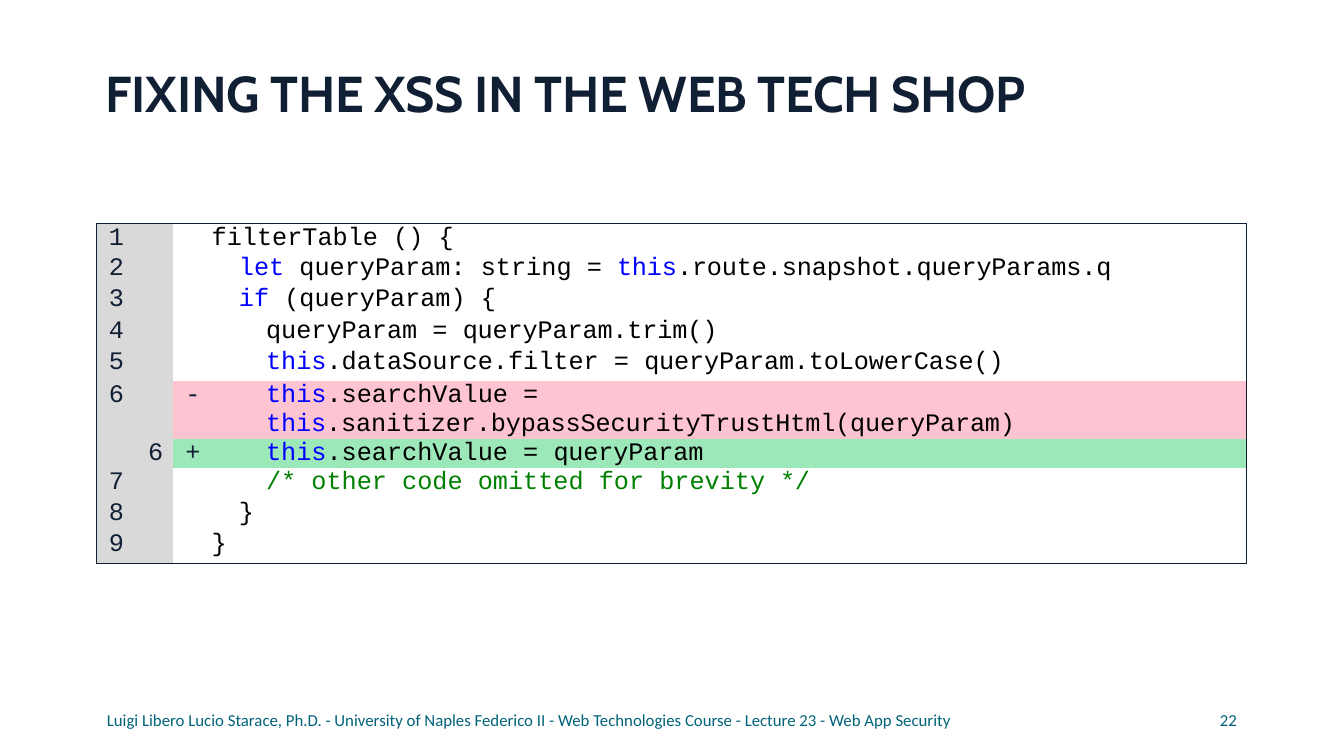
import dataclasses

import lxml.etree
import pptx
import pptx.dml.color
import pptx.enum.text
import pptx.oxml.ns
import pptx.util

Inches = pptx.util.Inches
Points = pptx.util.Pt


@dataclasses.dataclass(frozen=True)
class Theme:
    ink: str = "111F35"
    teal: str = "006379"
    black: str = "000000"
    keyword: str = "0000FF"
    comment: str = "008000"
    gutter: str = "D9D9D9"
    removed: str = "FFC4D2"
    added: str = "9CE8B8"
    title_font: str = "Cabin"
    footer_font: str = "Calibri"
    code_font: str = "Courier New"
    title_size: int = 36
    footer_size: int = 12
    code_size: int = 18


THEME = Theme()


@dataclasses.dataclass(frozen=True)
class CodeLine:
    height: float
    pitch: float
    number: str
    depth: int
    spans: tuple
    mark: str = ""


def plain(text, spacing=0):
    return text, THEME.black, spacing


def keyword(text, spacing=0):
    return text, THEME.keyword, spacing


def comment(text, spacing=0):
    return text, THEME.comment, spacing


CODE = (
    CodeLine(0.33, 20.6, "1", 0, (plain("filterTable () "), plain("{", -0.5))),
    CodeLine(0.3, 18.8, "2", 1, (
        keyword("let "), plain("queryParam: string = "),
        keyword("this", -0.1), plain(".route.snapshot.queryParams.q", -0.1))),
    CodeLine(0.31, 19, "3", 1, (
        keyword("if "), plain("(queryParam) "), plain("{", -0.5))),
    CodeLine(0.31, 19, "4", 2, (
        plain("queryParam = "), plain("queryParam.trim()", -0.1))),
    CodeLine(0.28, 19, "5", 2, (
        keyword("this"), plain(".dataSource.filter = "),
        plain("queryParam.toLowerCase()", -0.1))),
    CodeLine(0.57, 20.6, "6", 2, (
        keyword("this"), plain(".searchValue = "), keyword("this", -0.1),
        plain(".sanitizer.bypassSecurityTrustHtml(queryParam)", -0.1)), "-"),
    CodeLine(0.29, 20.6, "6", 2, (
        keyword("this"), plain(".searchValue = "),
        plain("queryParam", -0.1)), "+"),
    CodeLine(0.33, 20.6, "7", 2, (
        comment("/* other code omitted for brevity"), comment(" */", -0.2))),
    CodeLine(0.31, 19, "8", 1, (plain("}", -0.5),)),
    CodeLine(0.28, 19, "9", 0, (plain("}", -0.5),)),
)
COLUMNS = (0.76, 0.59, 10.05)
MARK_FILLS = {"-": THEME.removed, "+": THEME.added}
NUMBER_INDENT = 0.12
NEW_NUMBER_INDENT = 0.51
CODE_INDENT = 0.38
DEPTH_STEP = 0.27


def rgb(colour):
    return pptx.dml.color.RGBColor.from_string(colour)


def write_text(para, text, font, size, colour, bold=False, spacing=0):
    """Append a formatted span; spacing is the letter spacing in points."""
    span = para.add_run()
    span.text = text
    span.font.name = font
    span.font.size = Points(size)
    span.font.bold = bold
    span.font.color.rgb = rgb(colour)
    if spacing:
        span._r.get_or_add_rPr().set("spc", str(round(spacing * 100)))


def indent(para, left):
    properties = para._p.get_or_add_pPr()
    properties.set("marL", str(Inches(left)))
    properties.set("indent", "0")


def clear_margins(frame):
    frame.margin_left = frame.margin_right = 0
    frame.margin_top = frame.margin_bottom = 0
    frame.word_wrap = True
    frame.auto_size = pptx.enum.text.MSO_AUTO_SIZE.NONE
    frame.vertical_anchor = pptx.enum.text.MSO_ANCHOR.TOP


def set_title(page, text):
    title = page.shapes.title
    title.left, title.top = Inches(1.05), Inches(0.61)
    title.width, title.height = Inches(11.26), Inches(0.63)
    clear_margins(title.text_frame)
    title.text_frame.margin_top = Inches(0.01)
    para = title.text_frame.paragraphs[0]
    para.alignment = pptx.enum.text.PP_ALIGN.LEFT
    para.space_before = Points(1)
    para.line_spacing = 1.0
    write_text(para, text, THEME.title_font, THEME.title_size, THEME.ink,
               bold=True, spacing=-0.24)


def add_footer(page, text, left, width, text_indent):
    box = page.shapes.add_textbox(
        Inches(left), Inches(7.07), Inches(width), Inches(0.19))
    clear_margins(box.text_frame)
    para = box.text_frame.paragraphs[0]
    para.line_spacing = Points(12.4)
    indent(para, text_indent)
    write_text(para, text, THEME.footer_font, THEME.footer_size, THEME.teal)


def set_borders(cell, visible):
    """Draw the sides named in visible (L, R, T, B) and blank the others."""
    properties = cell._tc.get_or_add_tcPr()
    qualify = pptx.oxml.ns.qn
    for position, side in enumerate("LRTB"):
        line = lxml.etree.Element(qualify(f"a:ln{side}"), w=str(Points(1)))
        if side in visible:
            fill = lxml.etree.SubElement(line, qualify("a:solidFill"))
            lxml.etree.SubElement(fill, qualify("a:srgbClr"), val=THEME.ink)
        else:
            lxml.etree.SubElement(line, qualify("a:noFill"))
        properties.insert(position, line)


def format_cell(cell, fill, sides, pitch):
    cell.margin_left = cell.margin_top = cell.margin_bottom = 0
    cell.margin_right = Inches(0.06)
    if fill:
        cell.fill.solid()
        cell.fill.fore_color.rgb = rgb(fill)
    else:
        cell.fill.background()
    set_borders(cell, sides)
    cell.text_frame.paragraphs[0].line_spacing = Points(pitch)


def write_cell(cell, left, spans):
    para = cell.text_frame.paragraphs[0]
    indent(para, left)
    for text, colour, spacing in spans:
        write_text(para, text, THEME.code_font, THEME.code_size, colour,
                   spacing=spacing)


def fill_row(cells, line, edge):
    band = MARK_FILLS.get(line.mark)
    for cell, fill, side in zip(cells, (THEME.gutter, band, band), ("L", "", "R")):
        format_cell(cell, fill, side + edge, line.pitch)
    number_left = NEW_NUMBER_INDENT if line.mark == "+" else NUMBER_INDENT
    write_cell(cells[0], number_left, [(line.number, THEME.ink, -0.5)])
    if line.mark:
        write_cell(cells[1], NUMBER_INDENT, [(line.mark, THEME.ink, -0.5)])
    code_left = CODE_INDENT + DEPTH_STEP * line.depth
    if line.depth:
        write_cell(cells[2], code_left - COLUMNS[1], line.spans)
    else:
        write_cell(cells[1], code_left, line.spans)


def add_code_table(page):
    frame = page.shapes.add_table(
        len(CODE), len(COLUMNS), Inches(0.96), Inches(2.22),
        Inches(sum(COLUMNS)), Inches(sum(line.height for line in CODE)))
    table = frame.table
    table.first_row = table.horz_banding = False
    for column, width in zip(table.columns, COLUMNS):
        column.width = Inches(width)
    edges = {0: "T", len(CODE) - 1: "B"}
    for index, line in enumerate(CODE):
        row = table.rows[index]
        row.height = Inches(line.height)
        fill_row(list(row.cells), line, edges.get(index, ""))
    opening = table.cell(0, 1)
    opening.merge(table.cell(0, 2))
    opening._tc.tcPr.remove(opening._tc.tcPr.find(pptx.oxml.ns.qn("a:lnR")))
    for side in "LTB":
        opening._tc.tcPr.remove(
            opening._tc.tcPr.find(pptx.oxml.ns.qn(f"a:ln{side}")))
    set_borders(opening, "RT")


def main():
    deck = pptx.Presentation()
    deck.slide_width, deck.slide_height = Inches(13.33), Inches(7.5)
    page = deck.slides.add_slide(deck.slide_layouts.get_by_name("Title Only"))
    set_title(page, "FIXING THE XSS IN THE WEB TECH SHOP")
    add_code_table(page)
    add_footer(page, "Luigi Libero Lucio Starace, Ph.D. - University of Naples "
               "Federico II - Web Technologies Course - Lecture 23 - "
               "Web App Security", 1.05, 8.41, 0.01)
    add_footer(page, "22", 12.06, 0.27, 0.04)
    deck.save("out.pptx")


if __name__ == "__main__":
    main()
